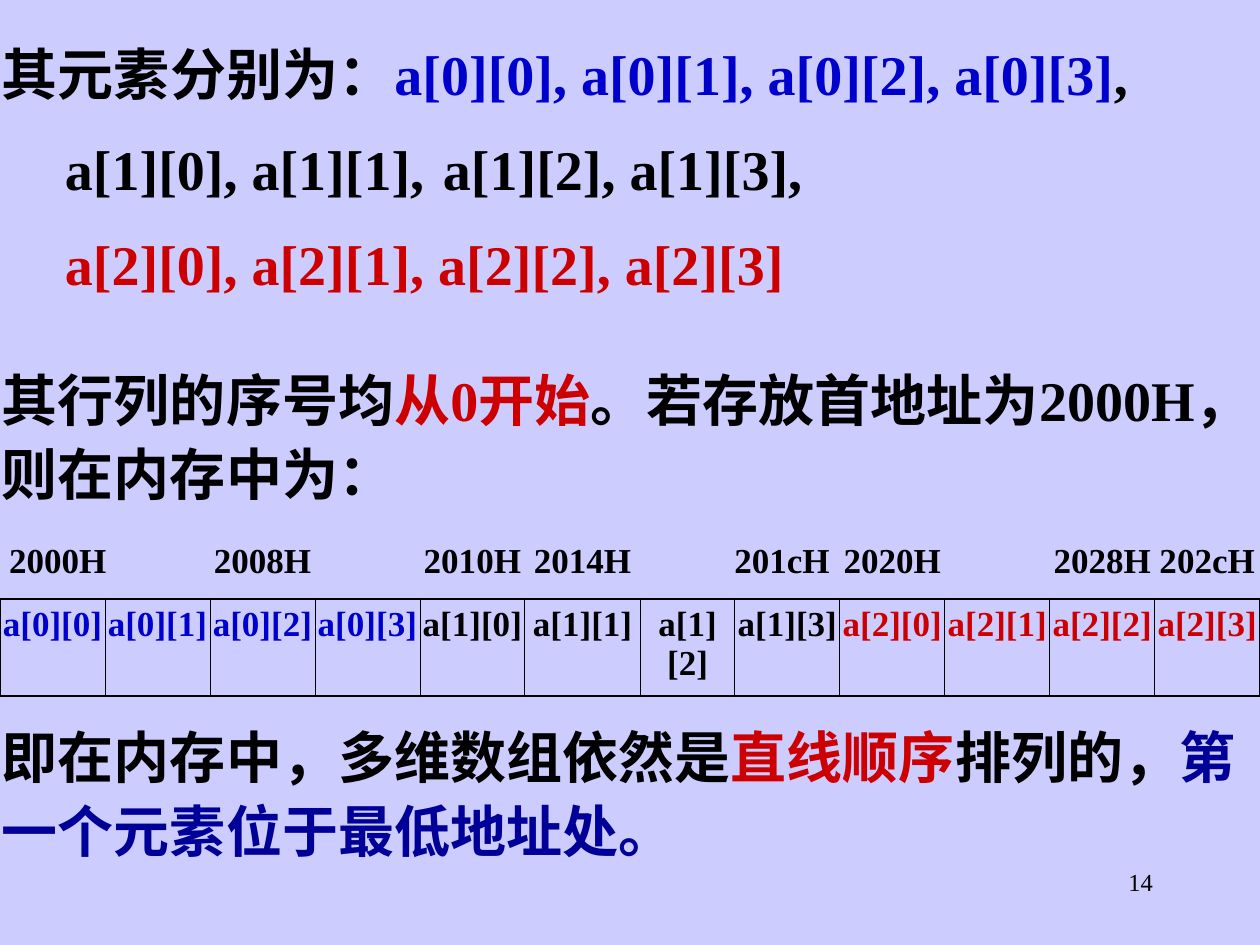
import pptx
import pptx.dml.color
import pptx.enum.text
import pptx.oxml.ns
import pptx.util
from lxml import etree

Cm, Pt = pptx.util.Cm, pptx.util.Pt
RGB = pptx.dml.color.RGBColor
ALIGN = pptx.enum.text.PP_ALIGN
FIT = pptx.enum.text.MSO_AUTO_SIZE
qn = pptx.oxml.ns.qn

PAGE = RGB(0xCC, 0xCC, 0xFF)
BLACK = RGB(0, 0, 0)
BLUE = RGB(0, 0, 0xCC)
NAVY = RGB(0, 0, 0x99)
RED = RGB(0xCC, 0, 0)

FACE = "Times New Roman"
LARGE = {"name": FACE, "size": Pt(32), "bold": True}
SMALL = {"name": FACE, "size": Pt(20), "bold": True}
PLAIN = {"name": FACE, "size": Pt(14), "bold": False}
FRAME = {"word_wrap": True, "auto_size": FIT.SHAPE_TO_FIT_TEXT,
         "margin_left": Cm(0.04), "margin_right": Cm(0.04),
         "margin_top": Cm(0.03), "margin_bottom": Cm(0.03)}
CELL = {"margin_left": Cm(0.04), "margin_right": Cm(0.04),
        "margin_top": Cm(0.13), "margin_bottom": Cm(0.13)}
NO_GRID = "{2D5ABB26-0587-4C30-8999-92F81FD0307C}"
THIN, THICK = Pt(0.45), Pt(1.08)


def apply(item, values):
    for key, value in values.items():
        setattr(item, key, value)


def write(para, runs, font):
    for text, color in runs:
        run = para.add_run()
        run.text = text
        apply(run.font, font)
        run.font.color.rgb = color


def set_tabs(para, stops):
    props = para._p.get_or_add_pPr()
    apply_left = {"marL": "0", "indent": "0"}
    for key, value in apply_left.items():
        props.set(key, value)
    etree.SubElement(props, qn("a:buNone"))
    tabs = etree.SubElement(props, qn("a:tabLst"))
    for stop in stops:
        etree.SubElement(tabs, qn("a:tab"), pos=str(stop), algn="l")


def element_list(body, box):
    """Array elements, one array row to a line."""
    apply(body, dict(zip(("left", "top", "width", "height"), box)))
    frame = body.text_frame
    apply(frame, FRAME)
    lines = [
        [("其元素分别为：", BLACK),
         ("a[0][0], a[0][1], a[0][2], a[0][3]", BLUE), (",", BLACK)],
        [("\ta[1][0], a[1][1],\ta[1][2], a[1][3],", BLACK)],
        [("\ta[2][0], a[2][1], a[2][2], a[2][3]", RED)],
    ]
    for row, runs in enumerate(lines):
        para = frame.add_paragraph() if row else frame.paragraphs[0]
        apply(para, {"line_spacing": 1.1, "space_before": Pt(12 if row else 0)})
        set_tabs(para, (Cm(7.62), Cm(15.7)))
        write(para, runs, LARGE)


def text_block(slide, box, runs, font=LARGE, frame=FRAME, **form):
    """A single paragraph of coloured runs."""
    area = slide.shapes.add_textbox(*box).text_frame
    apply(area, frame)
    para = area.paragraphs[0]
    apply(para, form)
    write(para, runs, font)


def draw_edges(cell, edges):
    props = cell._tc.get_or_add_tcPr()
    for place, (side, width) in enumerate(edges.items()):
        line = etree.Element(qn("a:" + side), w=str(width))
        fill = etree.SubElement(line, qn("a:solidFill"))
        etree.SubElement(fill, qn("a:srgbClr"), val=str(BLACK))
        props.insert(place, line)


def strip(slide, box, parts, items, ruled=False):
    """One-row table; parts are the relative column widths."""
    table = slide.shapes.add_table(1, len(parts), *box).table
    apply(table, {"first_row": False, "horz_banding": False})
    table._tbl.tblPr.find(qn("a:tableStyleId")).text = NO_GRID
    last = len(parts) - 1
    for col, (part, (text, color)) in enumerate(zip(parts, items)):
        table.columns[col].width = int(box[2] * part / sum(parts))
        cell = table.cell(0, col)
        apply(cell, CELL)
        cell.fill.background()
        if text:
            para = cell.text_frame.paragraphs[0]
            para.alignment = ALIGN.CENTER
            write(para, [(text, color)], SMALL)
        if ruled:
            draw_edges(cell, {"lnL": THIN if col else THICK,
                              "lnR": THIN if col < last else THICK,
                              "lnT": THICK, "lnB": THICK})


def memory_map(slide, left, top, width):
    """Addresses above the stored elements."""
    marks = ["2000H", "", "2008H", "", "2010H", "2014H",
             "", "201cH", "2020H", "", "2028H", "202cH"]
    strip(slide, (left, top, width, Cm(1.27)),
          [11, 9, 10, 10, 10, 11, 8, 11, 10, 10, 10, 10],
          [(mark, BLACK) for mark in marks])
    names = [(f"a[{row}][{col}]", color)
             for row, color in enumerate((BLUE, BLACK, RED))
             for col in range(4)]
    strip(slide, (left, top + Cm(1.27), width, Cm(1.75)),
          [10] * 5 + [11, 9] + [10] * 5, names, ruled=True)


def main():
    deck = pptx.Presentation()
    apply(deck, {"slide_width": Cm(25.4), "slide_height": Cm(19.05)})
    slide = deck.slides.add_slide(deck.slide_layouts[1])
    slide.background.fill.solid()
    slide.background.fill.fore_color.rgb = PAGE
    title = slide.shapes.title._element
    title.getparent().remove(title)
    wide = deck.slide_width

    # Elements of the array
    element_list(slide.placeholders[1], (0, Cm(0.64), Cm(24.55), Cm(5.38)))

    # Numbering and start address
    text_block(slide, (0, Cm(7.2), wide, Cm(3.05)),
               [("其行列的序号均", BLACK), ("从0开始", RED),
                ("。若存放首地址为2000H，则在内存中为：", BLACK)],
               line_spacing=1.1)

    # Layout in memory
    memory_map(slide, 0, Cm(10.8), wide)

    # Conclusion
    text_block(slide, (0, Cm(14.4), wide, Cm(3.05)),
               [("即在内存中，多维数组依然是", BLACK), ("直线顺序", RED),
                ("排列的，", BLACK), ("第一个元素位于最低地址处。", NAVY)],
               line_spacing=1.1)

    # Page number
    text_block(slide, (Cm(18.2), Cm(17.35), Cm(5.29), Cm(1.27)),
               [("14", BLACK)], PLAIN, {"word_wrap": True},
               alignment=ALIGN.RIGHT)

    deck.save("out.pptx")


if __name__ == "__main__":
    main()
